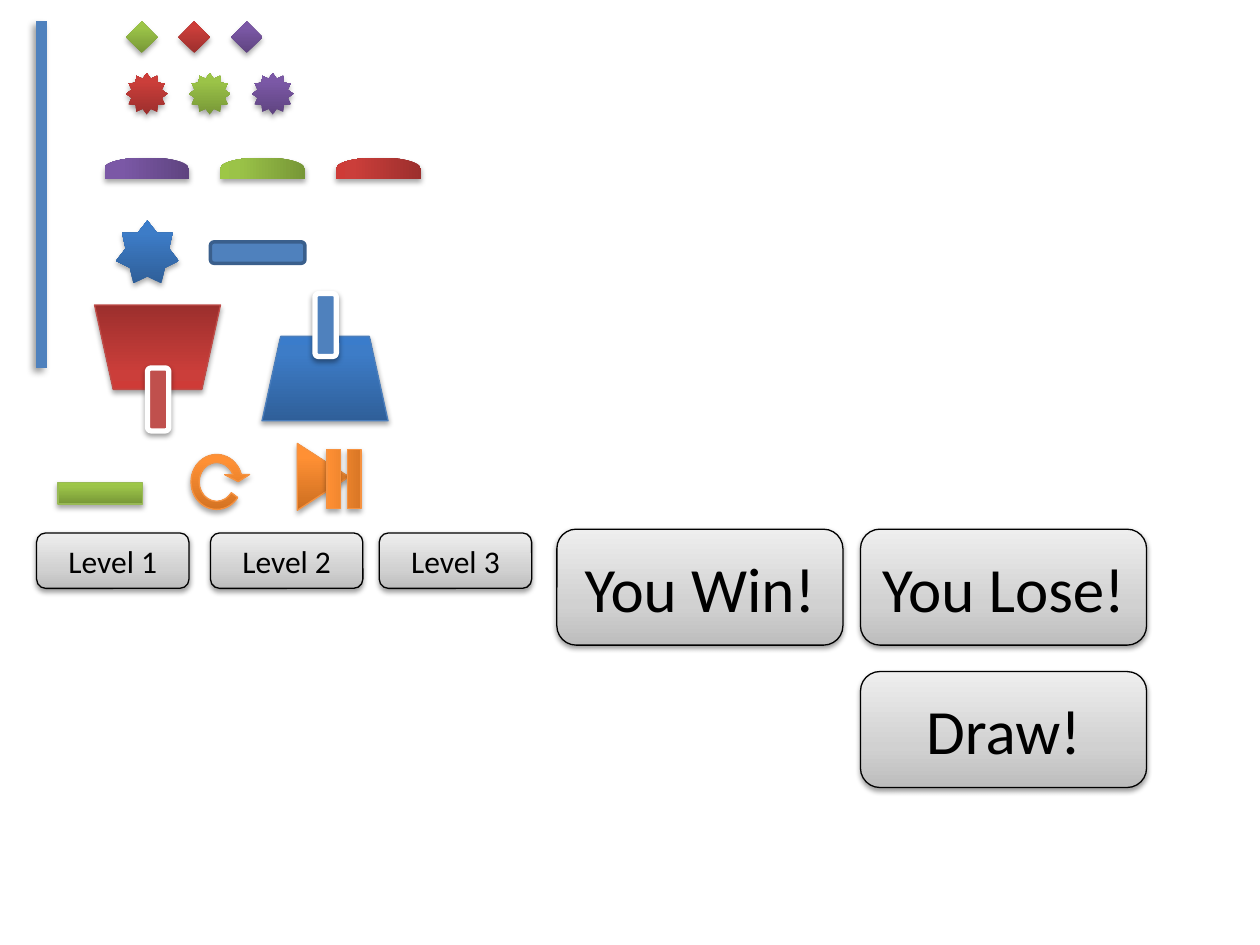
"""Build a slide of game pieces, level buttons and result banners."""
from dataclasses import dataclass
from typing import Optional

from pptx import Presentation
from pptx.dml.color import RGBColor
from pptx.enum.shapes import MSO_CONNECTOR, MSO_SHAPE
from pptx.enum.text import MSO_ANCHOR, PP_ALIGN
from pptx.oxml import parse_xml
from pptx.oxml.ns import nsdecls, qn
from pptx.util import Inches, Pt

BLACK = RGBColor(0x00, 0x00, 0x00)
WHITE = RGBColor(0xFF, 0xFF, 0xFF)
BLUE = RGBColor(0x4F, 0x81, 0xBD)
RED = RGBColor(0xC0, 0x50, 0x4D)
BLUE_EDGE = RGBColor(0x4B, 0x7E, 0xBC)
RED_EDGE = RGBColor(0xBF, 0x4C, 0x48)
GREEN_EDGE = RGBColor(0x98, 0xB9, 0x55)
ORANGE_EDGE = RGBColor(0xF6, 0x92, 0x40)
NAVY = RGBColor(0x3A, 0x5F, 0x8C)


@dataclass(frozen=True)
class Gradient:
    low: RGBColor
    mid: RGBColor
    high: RGBColor
    mid_at: int = 80


@dataclass(frozen=True)
class Shadow:
    alpha: int
    blur: float
    dist: float
    angle: int = 90


@dataclass(frozen=True)
class Piece:
    kind: MSO_SHAPE
    left: float
    top: float
    width: float
    height: float
    fill: Gradient | RGBColor
    line: Optional[RGBColor] = None
    line_width: float = 0.75
    shadow: Optional[Shadow] = Shadow(35, 3.1, 1.8)
    rotation: int = 0
    adjustments: tuple[float, ...] = ()
    text: str = ""
    size: int = 18


BLUE_FADE = Gradient(RGBColor(0x2F, 0x5F, 0x99), RGBColor(0x3D, 0x7C, 0xC7), RGBColor(0x3A, 0x7C, 0xCB))
RED_FADE = Gradient(RGBColor(0x9C, 0x2F, 0x2D), RGBColor(0xCB, 0x3E, 0x3A), RGBColor(0xCE, 0x3B, 0x37))
PURPLE_FADE = Gradient(RGBColor(0x5F, 0x44, 0x80), RGBColor(0x7B, 0x58, 0xA6), RGBColor(0x7C, 0x57, 0xA8))
GREEN_FADE = Gradient(RGBColor(0x77, 0x97, 0x37), RGBColor(0x9B, 0xC3, 0x48), RGBColor(0x9D, 0xC7, 0x46))
ORANGE_FADE = Gradient(RGBColor(0xCC, 0x6E, 0x20), RGBColor(0xFF, 0x90, 0x34), RGBColor(0xFF, 0x91, 0x36))
GREY_FADE = Gradient(RGBColor(0xBD, 0xBD, 0xBD), RGBColor(0xD1, 0xD1, 0xD1), RGBColor(0xEE, 0xEE, 0xEE), 35)
RAISED = Shadow(38, 3.1, 1.6)
WALL_SHADOW = Shadow(40, 4, 3, 135)


def set_gradient(sp, grad: Gradient) -> None:
    """Fill a shape from bottom to top with three stops."""
    sp.fill.gradient()
    stops = "".join(
        f'<a:gs pos="{pos * 1000}"><a:srgbClr val="{color}"/></a:gs>'
        for pos, color in ((0, grad.low), (grad.mid_at, grad.mid), (100, grad.high)))
    old = sp._element.spPr.find(qn("a:gradFill"))
    old.getparent().replace(old, parse_xml(
        f'<a:gradFill {nsdecls("a")} rotWithShape="1"><a:gsLst>{stops}</a:gsLst>'
        '<a:lin ang="16200000" scaled="0"/></a:gradFill>'))


def set_shadow(sp, shadow: Shadow) -> None:
    """Append an outer shadow to a shape or connector."""
    sp._element.spPr.append(parse_xml(
        f'<a:effectLst {nsdecls("a")}><a:outerShdw blurRad="{Pt(shadow.blur)}" '
        f'dist="{Pt(shadow.dist)}" dir="{shadow.angle * 60000}" rotWithShape="0">'
        f'<a:srgbClr val="000000"><a:alpha val="{shadow.alpha * 1000}"/></a:srgbClr>'
        '</a:outerShdw></a:effectLst>'))


def set_text(sp, text: str, size: int) -> None:
    """Write centred black text in a shape."""
    tf = sp.text_frame
    tf.vertical_anchor = MSO_ANCHOR.MIDDLE
    p = tf.paragraphs[0]
    p.alignment = PP_ALIGN.CENTER
    r = p.add_run()
    r.text = text
    for name, value in {"name": "Calibri", "size": Pt(size)}.items():
        setattr(r.font, name, value)
    r.font.color.rgb = BLACK


def draw_piece(s, piece: Piece) -> None:
    """Add one preset shape with its format."""
    sp = s.shapes.add_shape(piece.kind, Inches(piece.left), Inches(piece.top),
                            Inches(piece.width), Inches(piece.height))
    sp.rotation = piece.rotation
    for i, value in enumerate(piece.adjustments):
        sp.adjustments[i] = value
    if isinstance(piece.fill, Gradient):
        set_gradient(sp, piece.fill)
    else:
        sp.fill.solid()
        sp.fill.fore_color.rgb = piece.fill
    if piece.line is None:
        sp.line.fill.background()
    else:
        sp.line.color.rgb = piece.line
        sp.line.width = Pt(piece.line_width)
    if piece.shadow:
        set_shadow(sp, piece.shadow)
    else:
        sp.shadow.inherit = False
    if piece.text:
        set_text(sp, piece.text, piece.size)


def draw_wall(s) -> None:
    """Add the vertical wall line."""
    wall = s.shapes.add_connector(MSO_CONNECTOR.STRAIGHT, Inches(0.33), Inches(0.17),
                                  Inches(0.33), Inches(2.92))
    wall.line.color.rgb = BLUE
    wall.line.width = Pt(6)
    set_shadow(wall, WALL_SHADOW)


def row(kind: MSO_SHAPE, left: float, top: float, width: float, height: float,
        step: float, fills: tuple[Gradient, ...], rotation: int = 0) -> list[Piece]:
    """Return equally spaced pieces, one for each fill."""
    return [Piece(kind, left + i * step, top, width, height, fill, rotation=rotation)
            for i, fill in enumerate(fills)]


def button(text: str, left: float, top: float, width: float, height: float, size: int) -> Piece:
    """Return a grey rounded button."""
    return Piece(MSO_SHAPE.ROUNDED_RECTANGLE, left, top, width, height, GREY_FADE, BLACK,
                 shadow=RAISED, text=text, size=size)


TANKS = [
    Piece(MSO_SHAPE.TRAPEZOID, 2.08, 2.67, 1, 0.67, BLUE_FADE, BLUE_EDGE, adjustments=(0.221,)),
    Piece(MSO_SHAPE.ROUNDED_RECTANGLE, 2.5, 2.33, 0.17, 0.5, BLUE, WHITE, 3, RAISED),
    Piece(MSO_SHAPE.TRAPEZOID, 0.75, 2.42, 1, 0.67, RED_FADE, RED_EDGE,
          rotation=180, adjustments=(0.221,)),
    Piece(MSO_SHAPE.ROUNDED_RECTANGLE, 1.17, 2.92, 0.17, 0.5, RED, WHITE, 3, RAISED, 180),
    Piece(MSO_SHAPE.STAR_7_POINT, 0.92, 1.75, 0.5, 0.5, BLUE_FADE),
    Piece(MSO_SHAPE.ROUNDED_RECTANGLE, 1.67, 1.92, 0.75, 0.17, BLUE, NAVY, 2, None),
]
TOKENS = [
    *row(MSO_SHAPE.FLOWCHART_DELAY, 1.08, 1, 0.17, 0.67, 0.92, (PURPLE_FADE, GREEN_FADE, RED_FADE), 270),
    *row(MSO_SHAPE.DIAMOND, 1, 0.17, 0.25, 0.25, 5 / 12, (GREEN_FADE, RED_FADE, PURPLE_FADE)),
    *row(MSO_SHAPE.STAR_12_POINT, 1, 0.58, 0.33, 0.33, 0.5, (RED_FADE, GREEN_FADE, PURPLE_FADE)),
]
CONTROLS = [
    Piece(MSO_SHAPE.RECTANGLE, 0.46, 3.83, 0.67, 0.17, GREEN_FADE, GREEN_EDGE),
    Piece(MSO_SHAPE.CIRCULAR_ARROW, 1.45, 3.54, 0.54, 0.57, ORANGE_FADE, ORANGE_EDGE,
          adjustments=(0.118, 11.423, 204.172, 21.881, 0.183)),
    Piece(MSO_SHAPE.PENTAGON, 2.36, 3.52, 0.41, 0.53, ORANGE_FADE, ORANGE_EDGE, adjustments=(2.019,)),
    Piece(MSO_SHAPE.MATH_EQUAL, 2.41, 3.57, 0.64, 0.46, ORANGE_FADE, ORANGE_EDGE, rotation=270),
]
LEVELS = [button(f"Level {n}", left, 4.23, 1.21, 0.44, 18)
          for n, left in enumerate((0.29, 1.67, 3.01), 1)]
RESULTS = [button(text, left, top, 2.27, 0.92, 36) for text, left, top in (
    ("You Win!", 4.42, 4.2), ("You Lose!", 6.83, 4.2), ("Draw!", 6.83, 5.33))]


def main() -> None:
    """Build and save the slide."""
    prs = Presentation()
    prs.slide_width, prs.slide_height = Inches(10), Inches(7.5)
    s = prs.slides.add_slide(prs.slide_layouts[6])
    draw_wall(s)
    for piece in TANKS + TOKENS + CONTROLS + LEVELS + RESULTS:
        draw_piece(s, piece)
    prs.save("out.pptx")


main()
